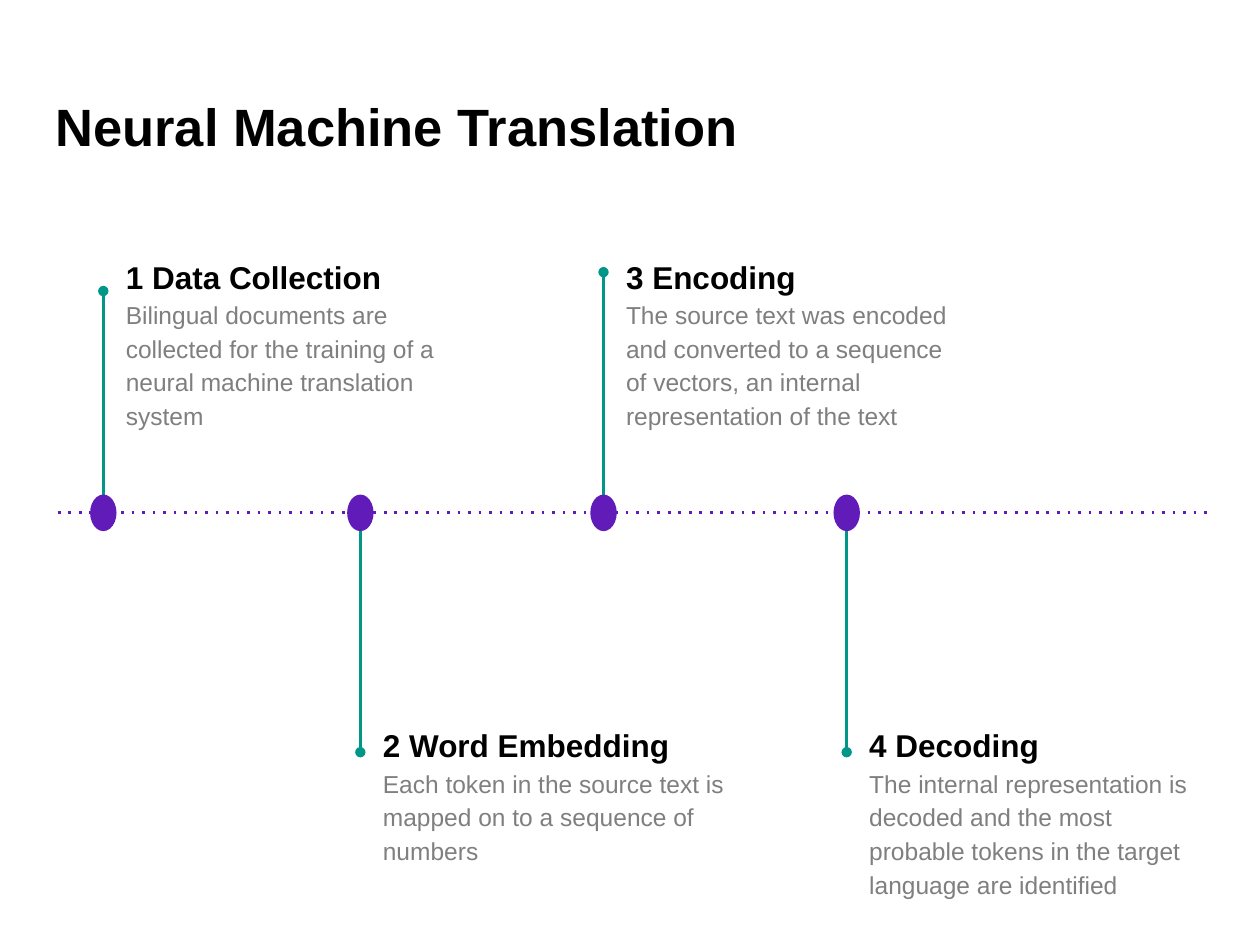
from lxml.etree import SubElement
from pptx import Presentation
from pptx.dml.color import RGBColor
from pptx.enum.shapes import MSO_CONNECTOR, MSO_SHAPE
from pptx.enum.text import MSO_ANCHOR, PP_ALIGN
from pptx.oxml.ns import qn
from pptx.util import Inches, Pt

FONT = "Arial"
BLACK, GRAY, PURPLE, TEAL = "000000", "7F7F7F", "611BB8", "009688"
AXIS_Y = 4.07
NODE_WIDTH, NODE_HEIGHT = 0.21, 0.29
STEPS = [
    (0.82, 2.31, 1.9, "1 Data Collection",
     "Bilingual documents are collected for the training of a neural machine translation system"),
    (2.86, 5.97, 5.62, "2 Word Embedding",
     "Each token in the source text is mapped on to a sequence of numbers"),
    (4.79, 2.16, 1.9, "3 Encoding",
     "The source text was encoded and converted to a sequence of vectors, an internal representation of the text"),
    (6.72, 5.97, 5.62, "4 Decoding",
     "The internal representation is decoded and the most probable tokens in the target language are identified"),
]


def color(value):
    return RGBColor.from_string(value)


def style_text(paragraph, size, text_color, bold):
    paragraph.alignment = PP_ALIGN.LEFT
    for run in paragraph.runs:
        run.font.name = FONT
        run.font.size = Pt(size)
        run.font.bold = bold
        run.font.color.rgb = color(text_color)


def prepare_frame(text_frame):
    text_frame.word_wrap = True
    text_frame.vertical_anchor = MSO_ANCHOR.TOP
    text_frame.margin_left = text_frame.margin_right = Inches(0.1)
    text_frame.margin_top = text_frame.margin_bottom = Inches(0.1)


def set_title(slide, text):
    title = slide.shapes.title
    title.left, title.top = Inches(0.34), Inches(0.65)
    title.width, title.height = Inches(9.32), Inches(0.91)
    prepare_frame(title.text_frame)
    title.text_frame.text = text
    style_text(title.text_frame.paragraphs[0], 30, BLACK, True)


def add_line(shapes, start, end, line_color, ending, **attributes):
    points = [Inches(value) for value in (*start, *end)]
    connector = shapes.add_connector(MSO_CONNECTOR.STRAIGHT, *points)
    connector.line.color.rgb = color(line_color)
    connector.line.width = Pt(1.5)
    SubElement(connector.line._get_or_add_ln(), qn(ending), attributes)
    SubElement(connector._element.spPr, qn("a:effectLst"))


def add_node(shapes, x):
    node = shapes.add_shape(
        MSO_SHAPE.OVAL, Inches(x - NODE_WIDTH / 2), Inches(AXIS_Y - NODE_HEIGHT / 2),
        Inches(NODE_WIDTH), Inches(NODE_HEIGHT))
    node.shadow.inherit = False
    node.fill.solid()
    node.fill.fore_color.rgb = color(PURPLE)
    node.line.fill.background()


def add_marker(slide, x, tip_y):
    group = slide.shapes.add_group_shape()
    direction = 1 if tip_y > AXIS_Y else -1
    start_y = AXIS_Y + direction * NODE_HEIGHT / 2
    add_line(group.shapes, (x, start_y), (x, tip_y), TEAL, "a:tailEnd", type="oval")
    add_node(group.shapes, x)


def add_description(slide, x, top, heading, body):
    box = slide.shapes.add_textbox(Inches(x + 0.08), Inches(top), Inches(2.91), Inches(1.42))
    text_frame = box.text_frame
    prepare_frame(text_frame)
    text_frame.text = f"{heading}\n{body}"
    for paragraph, style in zip(text_frame.paragraphs, [(18, BLACK, True), (14, GRAY, False)]):
        paragraph.line_spacing = 1.15
        style_text(paragraph, *style)


def main():
    presentation = Presentation()
    presentation.slide_width, presentation.slide_height = Inches(10), Inches(7.5)
    slide = presentation.slides.add_slide(presentation.slide_layouts[5])
    set_title(slide, "Neural Machine Translation")
    add_line(slide.shapes, (0.46, AXIS_Y), (9.58, AXIS_Y), PURPLE, "a:prstDash", val="dot")
    for x, tip_y, text_top, heading, body in STEPS:
        add_marker(slide, x, tip_y)
        add_description(slide, x, text_top, heading, body)
    presentation.save("out.pptx")


if __name__ == "__main__":
    main()
